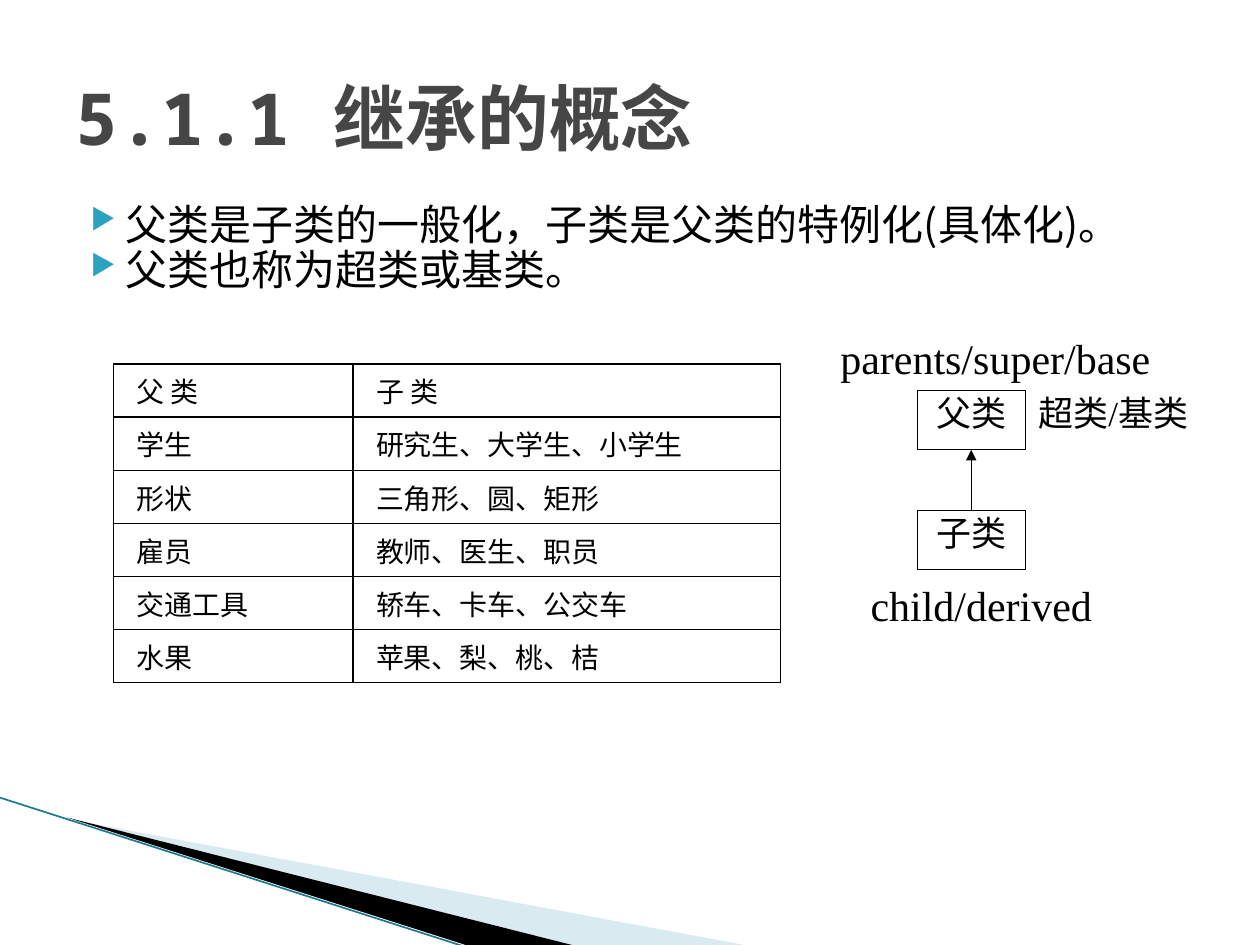
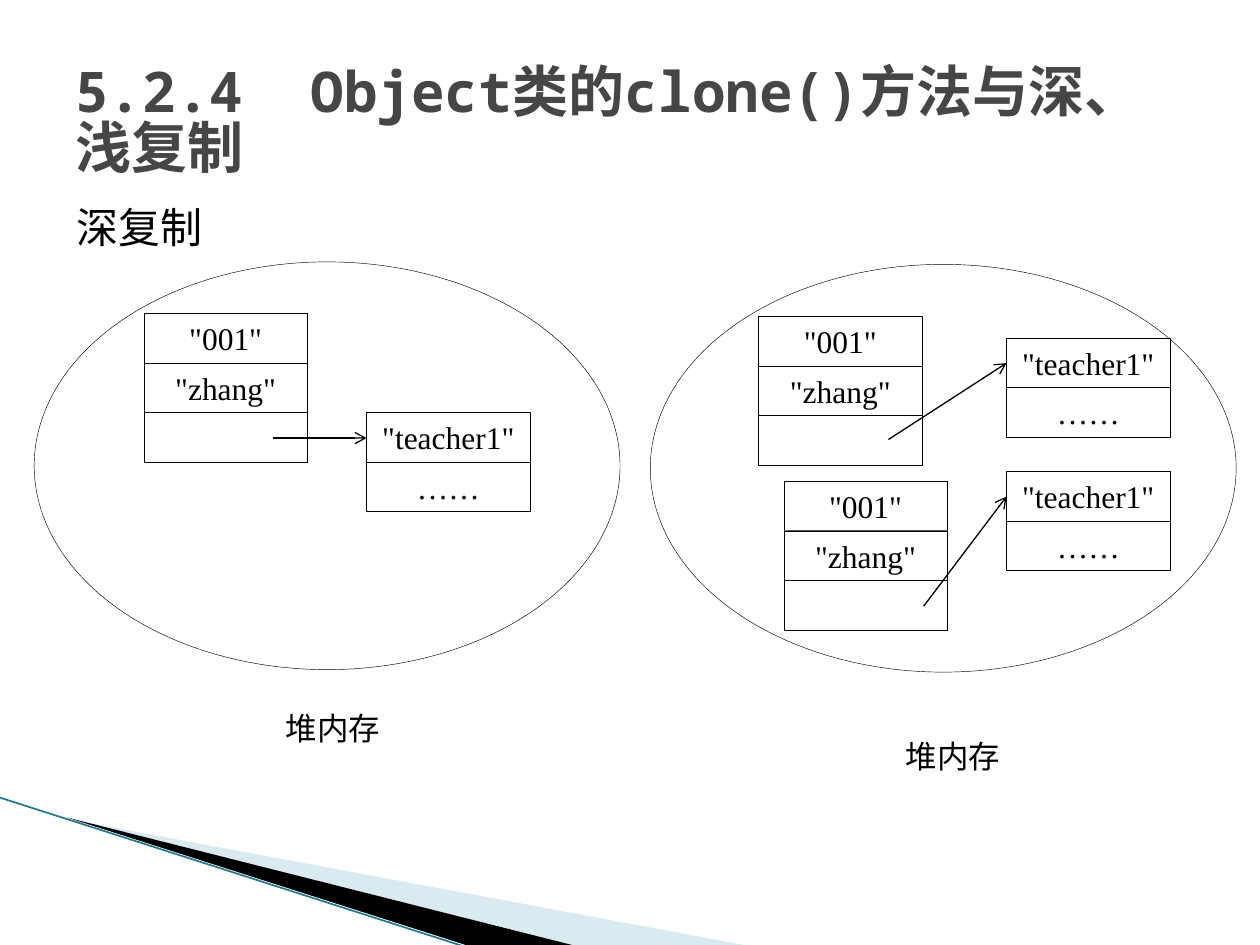
from lxml import etree
from pptx import Presentation
from pptx import util as u
from pptx.dml.color import RGBColor
from pptx.enum import shapes, text
from pptx.oxml import ns

SERIF = "Times New Roman"
MONO = "Noto Sans Mono"
SANS = "Noto Sans CJK SC"
BLACK, WHITE, GREY = "000000", "FFFFFF", "464646"
TEAL, PALE, EDGE = "2DA2BF", "A0CBDC", "1B7A8F"
CENTER, JUSTIFY = text.PP_ALIGN.CENTER, text.PP_ALIGN.JUSTIFY
TOP, MIDDLE = text.MSO_ANCHOR.TOP, text.MSO_ANCHOR.MIDDLE


def color(value):
    return RGBColor.from_string(value)


def add_xml(parent, tag, **attributes):
    return etree.SubElement(parent, ns.qn(tag), attributes)


def paint(fill, value):
    fill.solid()
    fill.fore_color.rgb = color(value)


def write(para, words, size, font=SERIF, ink=BLACK, bold=False):
    span = para.add_run()
    span.text = words
    span.font.size = u.Pt(size)
    span.font.name = font
    span.font.bold = bold
    span.font.color.rgb = color(ink)
    add_xml(span.font._element, "a:ea", typeface=SANS)


def add_text(page, left, top, width, height, words, size, font=SERIF):
    box = page.shapes.add_textbox(u.Cm(left), u.Cm(top), u.Cm(width), u.Cm(height))
    box.text_frame.word_wrap = True
    write(box.text_frame.paragraphs[0], words, size, font)


def add_title(page, words, size):
    box = page.shapes.add_textbox(u.Cm(1.27), u.Cm(0.76), u.Cm(22.86), u.Cm(3.18))
    frame = box.text_frame
    frame.word_wrap = True
    frame.vertical_anchor = MIDDLE
    frame.margin_top = u.Cm(0.43)
    para = frame.paragraphs[0]
    para.line_spacing = 0.83
    write(para, words, size, MONO, GREY, True)


def add_bullets(page, items):
    box = page.shapes.add_textbox(u.Cm(1.27), u.Cm(4.11), u.Cm(22.86), u.Cm(2.41))
    frame = box.text_frame
    frame.word_wrap = True
    for index, words in enumerate(items):
        para = frame.add_paragraph() if index else frame.paragraphs[0]
        para.line_spacing = 0.76
        para.space_before = u.Cm(0.14)
        write(para, words, 24, SANS)
        style = para._p.get_or_add_pPr()
        style.set("marL", str(u.Cm(1.02)))
        style.set("indent", str(u.Cm(-0.71)))
        add_xml(add_xml(style, "a:buClr"), "a:srgbClr", val=TEAL)
        add_xml(style, "a:buSzPct", val="68000")
        add_xml(style, "a:buChar", char="▶")


def add_shape(page, kind, left, top, width, height, line):
    shape = page.shapes.add_shape(
        kind, u.Cm(left), u.Cm(top), u.Cm(width), u.Cm(height))
    shape.shadow.inherit = False
    paint(shape.fill, WHITE)
    if line:
        shape.line.color.rgb = color(BLACK)
        shape.line.width = u.Pt(line)
    else:
        shape.line.fill.background()
    return shape


def add_box(page, left, top, width, height, words, size, line,
            align=CENTER, anchor=MIDDLE, spacing=1.0):
    box = add_shape(page, shapes.MSO_SHAPE.RECTANGLE, left, top, width, height, line)
    if words:
        frame = box.text_frame
        frame.word_wrap = True
        frame.vertical_anchor = anchor
        para = frame.paragraphs[0]
        para.alignment = align
        para.line_spacing = spacing
        write(para, words, size)


def add_class_box(page, left, top, width, words, line=0.75, align=CENTER):
    add_box(page, left, top, width, 1.19, words, 20, line, align, TOP, 0.9)


def add_record(page, left, top, fields):
    for index, words in enumerate(fields):
        add_box(page, left, top + index, 3.3, 1, words, 18, 0.25)


def add_ellipse(page, left, top):
    add_shape(page, shapes.MSO_SHAPE.OVAL, left, top, 11.81, 8.22, 0.25)


def add_line(page, start, end, ink=BLACK, width=0.75, head=None):
    line = page.shapes.add_connector(
        shapes.MSO_CONNECTOR.STRAIGHT, *map(u.Cm, start + end))
    line.line.color.rgb = color(ink)
    line.line.width = u.Pt(width)
    if head:
        add_xml(line.line._get_or_add_ln(), "a:tailEnd", type=head)
    add_xml(line._element.spPr, "a:effectLst")


def add_band(page, points, ink, opacity=100):
    corners = [(u.Cm(x), u.Cm(y)) for x, y in points]
    builder = page.shapes.build_freeform(*corners[0], scale=1.0)
    builder.add_line_segments(corners[1:], close=True)
    band = builder.convert_to_shape()
    band.shadow.inherit = False
    band.line.fill.background()
    paint(band.fill, ink)
    tint = band._element.spPr.find(ns.qn("a:solidFill"))[0]
    add_xml(tint, "a:alpha", val=str(opacity * 1000))


def add_table(page, left, top, widths, row_height, rows):
    frame = page.shapes.add_table(
        len(rows), len(widths), u.Cm(left), u.Cm(top),
        u.Cm(sum(widths)), u.Cm(row_height * len(rows)))
    table = frame.table
    table.first_row = table.horz_banding = False
    for column, width in zip(table.columns, widths):
        column.width = u.Cm(width)
    for row, entries in zip(table.rows, rows):
        row.height = u.Cm(row_height)
        for cell, words in zip(row.cells, entries):
            cell.margin_left = cell.margin_right = u.Cm(0.46)
            cell.margin_top = cell.margin_bottom = u.Cm(0.13)
            write(cell.text_frame.paragraphs[0], words, 16)
            style = cell._tc.get_or_add_tcPr()
            for side in ("a:lnL", "a:lnR", "a:lnT", "a:lnB"):
                border = add_xml(style, side, w=str(u.Pt(1)))
                add_xml(add_xml(border, "a:solidFill"), "a:srgbClr", val=BLACK)
            add_xml(style, "a:noFill")


def add_page(deck, title, size):
    page = deck.slides.add_slide(deck.slide_layouts[6])
    add_band(page, [(1.4, 16.52), (15.11, 19.07), (11.58, 19.07)], PALE, 40)
    add_band(page, [(1.35, 16.48), (11.61, 19.07), (9.45, 19.07)], BLACK)
    add_line(page, (0, 16.08), (9.42, 19.1), EDGE, 0.95)
    add_title(page, title, size)
    return page


def build_inheritance(deck):
    page = add_page(deck, "5.1.1 继承的概念", 41)
    add_bullets(page, ["父类是子类的一般化，子类是父类的特例化(具体化)。",
                       "父类也称为超类或基类。"])
    add_table(page, 2.29, 7.34, (4.83, 8.61), 1.07, [
        ("父 类", "子 类"),
        ("学生", "研究生、大学生、小学生"),
        ("形状", "三角形、圆、矩形"),
        ("雇员", "教师、医生、职员"),
        ("交通工具", "轿车、卡车、公交车"),
        ("水果", "苹果、梨、桃、桔"),
    ])
    add_class_box(page, 20.68, 7.87, 3.81, "超类/基类", None, JUSTIFY)
    add_class_box(page, 18.49, 7.87, 2.18, "父类")
    add_class_box(page, 18.49, 10.29, 2.18, "子类")
    add_line(page, (19.58, 10.29), (19.58, 9.07), head="triangle")
    add_text(page, 16.69, 6.58, 7.1, 1.27, "parents/super/base", 24)
    add_text(page, 17.3, 11.56, 6, 1.27, "child/derived", 24)


def build_deep_copy(deck):
    page = add_page(deck, "5.2.4  Object类的clone()方法与深、浅复制", 32)
    add_text(page, 1.3, 3.94, 3.3, 1.3, "深复制", 24, MONO)
    student = ('"001"', '"zhang"', "")
    teacher = ('"teacher1"', "……")
    for left, top in ((0.69, 5.28), (13.11, 5.33)):
        add_ellipse(page, left, top)
    for left, top in ((2.9, 6.32), (15.29, 6.38), (15.8, 9.7)):
        add_record(page, left, top, student)
    for left, top in ((7.39, 8.31), (20.29, 6.81), (20.29, 9.5)):
        add_record(page, left, top, teacher)
    for start, end in (((5.51, 8.83), (7.39, 8.83)),
                       ((17.91, 8.86), (20.29, 7.32)),
                       ((18.62, 12.22), (20.29, 10.01))):
        add_line(page, start, end, head="arrow")
    for left, top in ((5.51, 14.17), (18.01, 14.73)):
        add_text(page, left, top, 2.8, 1.02, "堆内存", 18, MONO)


def main():
    deck = Presentation()
    deck.slide_width, deck.slide_height = u.Cm(25.4), u.Cm(19.05)
    build_inheritance(deck)
    build_deep_copy(deck)
    deck.save("out.pptx")


if __name__ == "__main__":
    main()
